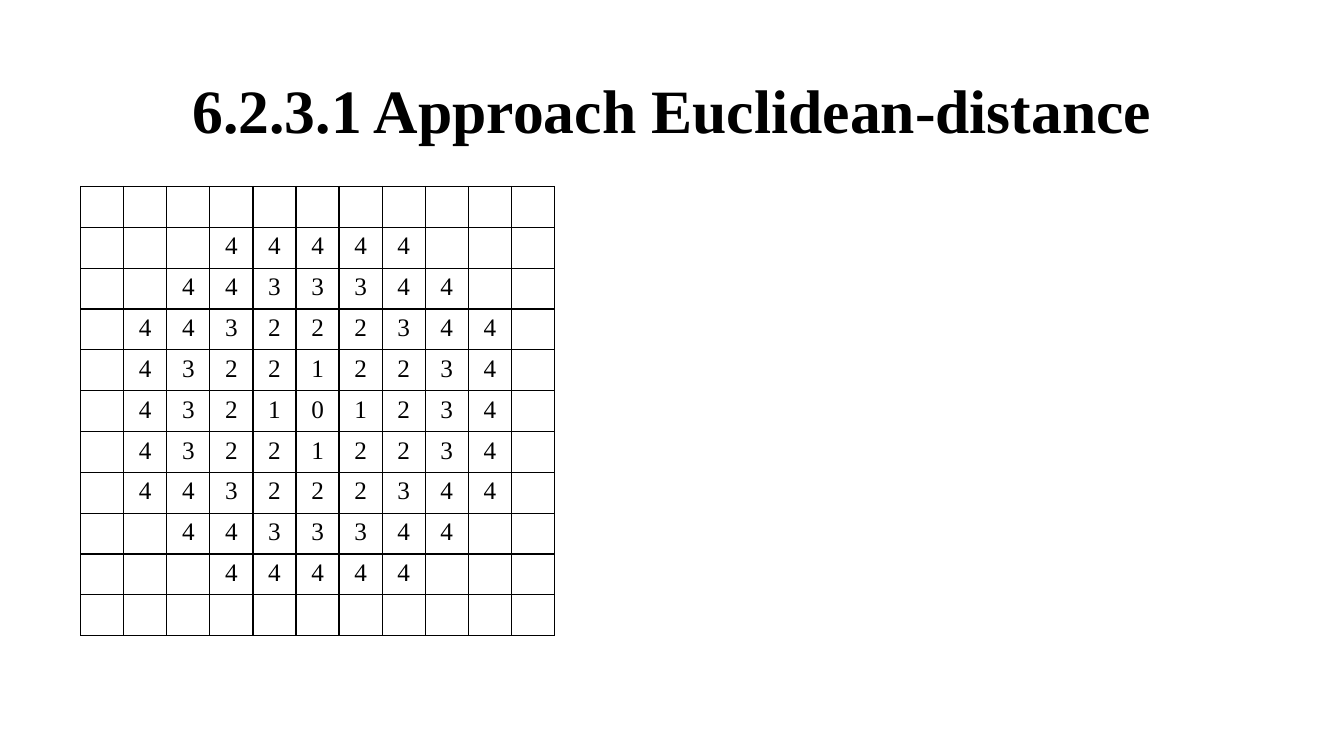
from lxml.etree import SubElement
from pptx import Presentation
from pptx.dml.color import RGBColor
from pptx.enum.text import MSO_ANCHOR, PP_ALIGN
from pptx.oxml.ns import qn
from pptx.util import Inches, Pt

BLACK = RGBColor(0, 0, 0)
WHITE = RGBColor(255, 255, 255)
FONT = "Times New Roman"
TITLE_FORMAT = {"name": FONT, "size": Pt(44), "bold": True}
CELL_FORMAT = {"name": FONT, "size": Pt(18), "bold": False}
BORDER_WIDTH = Pt(1)

# Distances from the centre cell; the lower half mirrors the upper one.
UPPER_ROWS = [
    "           ",
    "   44444   ",
    "  4433344  ",
    " 443222344 ",
    " 432212234 ",
    " 432101234 ",
]
DISTANCES = UPPER_ROWS + UPPER_ROWS[-2::-1]


def write(paragraph, text, text_format):
    paragraph.alignment = PP_ALIGN.CENTER
    run = paragraph.add_run()
    run.text = text
    for name, value in text_format.items():
        setattr(run.font, name, value)
    run.font.color.rgb = BLACK


def add_title(slide, text, left, top, width, height):
    frame = slide.shapes.add_textbox(left, top, width, height).text_frame
    frame.word_wrap = True
    frame.vertical_anchor = MSO_ANCHOR.MIDDLE
    paragraph = frame.paragraphs[0]
    paragraph.line_spacing = 0.9
    write(paragraph, text, TITLE_FORMAT)


def add_borders(cell):
    properties = cell._tc.get_or_add_tcPr()
    for position, side in enumerate(("lnL", "lnR", "lnT", "lnB")):
        line = properties.makeelement(qn(f"a:{side}"), {"w": str(BORDER_WIDTH)})
        fill = SubElement(line, qn("a:solidFill"))
        SubElement(fill, qn("a:srgbClr"), val=str(BLACK))
        properties.insert(position, line)


def add_distance_grid(slide, rows, left, top, width, height):
    table = slide.shapes.add_table(
        len(rows), len(rows[0]), left, top, width, height
    ).table
    table.first_row = table.horz_banding = False
    for row, digits in enumerate(rows):
        for column, digit in enumerate(digits):
            cell = table.cell(row, column)
            cell.fill.solid()
            cell.fill.fore_color.rgb = WHITE
            add_borders(cell)
            if digit.strip():
                write(cell.text_frame.paragraphs[0], digit, CELL_FORMAT)


def main():
    presentation = Presentation()
    presentation.slide_width = Inches(13.33)
    presentation.slide_height = Inches(7.5)
    slide = presentation.slides.add_slide(presentation.slide_layouts[6])
    add_title(
        slide,
        "6.2.3.1 Approach Euclidean-distance",
        Inches(0.92), Inches(0.4), Inches(11.5), Inches(1.45),
    )
    add_distance_grid(
        slide, DISTANCES, Inches(0.8), Inches(1.85), Inches(4.7), Inches(4.46)
    )
    presentation.save("out.pptx")


if __name__ == "__main__":
    main()
